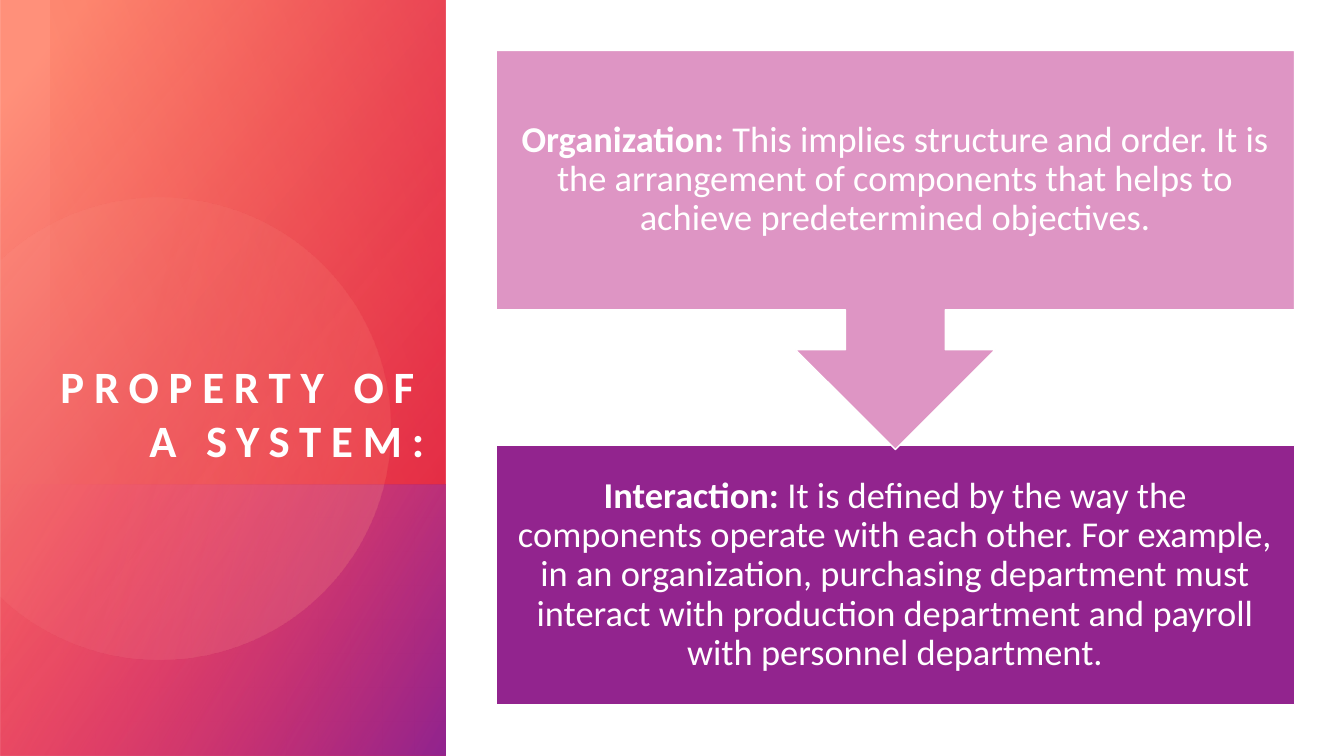
import math
from collections import namedtuple

from lxml import etree
from pptx import Presentation, util as u
from pptx.dml.color import RGBColor
from pptx.enum import shapes, text
from pptx.oxml import ns

Box = namedtuple("Box", "left top width height")
Stop = namedtuple("Stop", "position color alpha")

WIDTH, HEIGHT = 13.33, 7.5
WHITE = RGBColor(0xFF, 0xFF, 0xFF)
PURPLE = RGBColor(0x92, 0x24, 0x8E)
PINK = RGBColor(0xDE, 0x95, 0xC4)
SALMON = RGBColor(0xFF, 0x90, 0x7A)
PEACH = RGBColor(0xFF, 0xBC, 0xAF)
CRIMSON = RGBColor(0xDA, 0x00, 0x2F)
ROSE = RGBColor(0xFF, 0x50, 0x76)
ORANGE = RGBColor(0xFE, 0x4A, 0x00)
FONT = "Calibri"


def inches(box):
    """Return the box as four lengths."""
    return [u.Inches(length) for length in box]


def fill_gradient(shape, stops, angle):
    """Fill a borderless shape with a two-stop gradient, angle clockwise."""
    shape.shadow.inherit = False
    shape.line.fill.background()
    shape.fill.gradient()
    shape.fill.gradient_angle = 360 - angle
    for target, stop in zip(shape.fill.gradient_stops, stops):
        target.position = stop.position / 100
        target.color.rgb = stop.color
    colors = shape._element.spPr.iter(ns.qn("a:srgbClr"))
    for color, stop in zip(colors, stops):
        etree.SubElement(color, ns.qn("a:alpha"), val=str(stop.alpha * 1000))


def add_turned_panel(page, box, rotation, stops, angle):
    """Cover the box with a mirrored rectangle lying on its side."""
    middle, center = box.left + box.width / 2, box.top + box.height / 2
    lying = Box(middle - box.height / 2, center - box.width / 2, box.height, box.width)
    panel = page.shapes.add_shape(shapes.MSO_SHAPE.RECTANGLE, *inches(lying))
    panel.rotation = rotation
    panel._element.spPr.xfrm.set("flipH", "1")
    fill_gradient(panel, stops, angle)


def add_clipped_circle(page, box):
    """Draw a pale circle cut off by the left edge of the box."""
    radius, middle, center = 2.29, 1.58, box.top + 4.25
    reach = math.pi - math.acos(middle / radius)
    steps = 120
    angles = [reach * (2 * step / steps - 1) for step in range(steps + 1)]
    points = [(u.Inches(box.left + middle + radius * math.cos(angle)),
               u.Inches(center + radius * math.sin(angle))) for angle in angles]
    builder = page.shapes.build_freeform(*points[0])
    builder.add_line_segments(points[1:], close=True)
    stops = [Stop(36, PEACH, 6), Stop(100, SALMON, 26)]
    fill_gradient(builder.convert_to_shape(), stops, 14)


def write(frame, spans, size, align, anchor, margin):
    """Write one white paragraph of (wording, bold) spans."""
    frame.word_wrap = True
    frame.vertical_anchor = anchor
    frame.margin_left = frame.margin_right = u.Inches(margin)
    frame.margin_top = frame.margin_bottom = u.Inches(margin)
    para = frame.paragraphs[0]
    para.alignment = align
    para.font.name, para.font.size = FONT, u.Pt(size)
    para.font.color.rgb = WHITE
    for wording, bold in spans:
        span = para.add_run()
        span.text = wording
        span.font.bold = bold
    return para


def add_sidebar(page, box):
    """Place the layered gradients and the title in the box."""
    split = 4.81
    add_turned_panel(page, box, 270, [Stop(8, SALMON, 100), Stop(100, CRIMSON, 89)], 50)
    lower = Box(box.left, box.top + split, box.width, box.height - split)
    add_turned_panel(page, lower, 270, [Stop(0, ROSE, 0), Stop(99, PURPLE, 100)], 60)
    add_clipped_circle(page, box)
    upper = Box(box.left + 0.5, box.top, box.width - 0.5, split)
    add_turned_panel(page, upper, 90, [Stop(0, CRIMSON, 29), Stop(100, ORANGE, 0)], 110)
    area = Box(box.left + 0.5, box.top + 0.95, box.width - 0.71, 3.68)
    title = page.shapes.add_textbox(*inches(area))
    para = write(title.text_frame, [("PROPERTY OF A SYSTEM:", True)], 32,
                 text.PP_ALIGN.RIGHT, text.MSO_ANCHOR.BOTTOM, 0)
    para.runs[0].font._element.set("spc", "700")


def add_block(page, kind, box, color):
    """Add a filled shape with a thin white border."""
    block = page.shapes.add_shape(kind, *inches(box))
    block.shadow.inherit = False
    block.fill.solid()
    block.fill.fore_color.rgb = color
    block.line.color.rgb = WHITE
    block.line.width = u.Pt(1)
    return block


def add_steps(page, box):
    """Stack two property blocks in the box, the upper one pointing down."""
    height, arrow_height = 2.57, 3.96
    lower = box._replace(top=box.top + box.height - height, height=height)
    callout = box._replace(height=arrow_height)
    upper = box._replace(height=height)
    interaction = add_block(page, shapes.MSO_SHAPE.RECTANGLE, lower, PURPLE)
    arrow = add_block(page, shapes.MSO_SHAPE.UP_ARROW_CALLOUT, callout, PINK)
    arrow.rotation = 180
    organization = page.shapes.add_textbox(*inches(upper))
    wordings = [
        (organization, "Organization: ",
         "This implies structure and order. It is the arrangement of components "
         "that helps to achieve predetermined objectives."),
        (interaction, "Interaction: ",
         "It is defined by the way the components operate with each other. "
         "For example, in an organization, purchasing department must interact "
         "with production department and payroll with personnel department."),
    ]
    for shape, heading, body in wordings:
        para = write(shape.text_frame, [(heading, True), (body, False)], 26,
                     text.PP_ALIGN.CENTER, text.MSO_ANCHOR.MIDDLE, 0.2)
        para.line_spacing = 0.9


def main():
    """Build the deck with its single slide."""
    deck = Presentation()
    deck.slide_width, deck.slide_height = u.Inches(WIDTH), u.Inches(HEIGHT)
    page = deck.slides.add_slide(deck.slide_layouts[6])
    add_sidebar(page, Box(0, 0, 4.42, HEIGHT))
    add_steps(page, Box(4.92, 0.5, 7.92, 6.49))
    deck.save("out.pptx")


if __name__ == "__main__":
    main()
